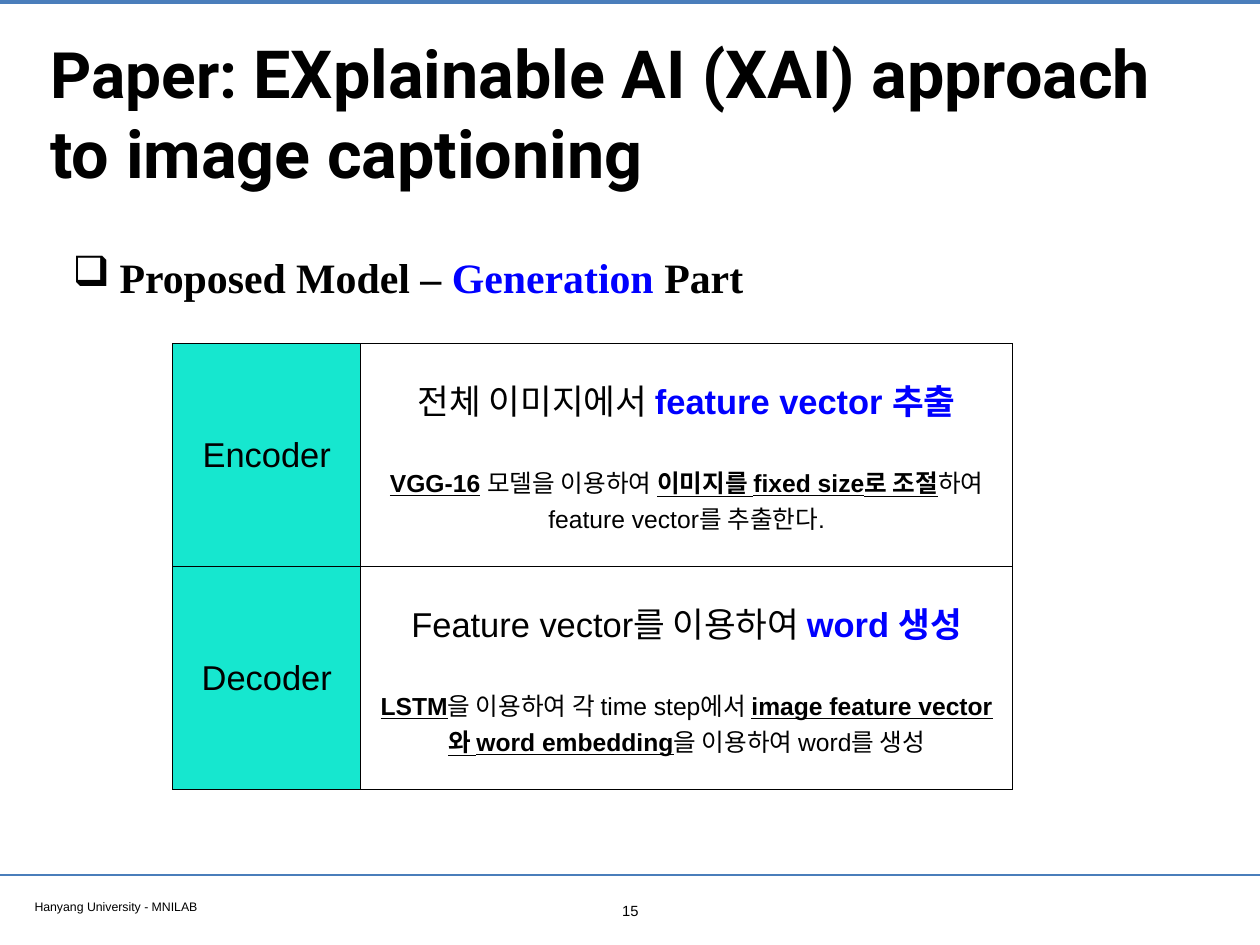
from lxml import etree
from pptx import Presentation
from pptx.dml import color
from pptx.enum import shapes, text
from pptx.oxml import ns
from pptx.util import Inches, Pt

BLACK, BLUE, TEAL, WHITE, RULE = "000000", "0000FF", "16E7CF", "FFFFFF", "4A7EBB"
LABEL = {"size": Pt(28)}
KEYWORD = {"size": Pt(28), "bold": True, "color": BLUE}
DETAIL = {"size": Pt(20)}
STRESS = {"size": Pt(20), "bold": True, "underline": True}
ROWS = [
    ("Encoder",
     [("전체 이미지에서 ", LABEL), ("feature vector 추출", KEYWORD)],
     [("VGG-16", STRESS), (" 모델을 이용하여 ", DETAIL),
      ("이미지를 fixed size로 조절", STRESS),
      ("하여 feature vector를 추출한다.", DETAIL)]),
    ("Decoder",
     [("Feature vector를 이용하여 ", LABEL), ("word 생성", KEYWORD)],
     [("LSTM", STRESS), ("을 이용하여 각 time step에서 ", DETAIL),
      ("image feature vector와 word embedding", STRESS),
      ("을 이용하여 word를 생성", DETAIL)]),
]


def rgb(value):
    return color.RGBColor.from_string(value)


def add_runs(paragraph, runs):
    for wording, style in runs:
        run = paragraph.add_run()
        run.text = wording
        style = {"name": "Arial", "color": BLACK, **style}
        run.font.color.rgb = rgb(style.pop("color"))
        for key, value in style.items():
            setattr(run.font, key, value)


def add_text(slide, box, runs, anchor=text.MSO_ANCHOR.TOP, align=text.PP_ALIGN.LEFT):
    frame = slide.shapes.add_textbox(*map(Inches, box)).text_frame
    frame.word_wrap = True
    frame.vertical_anchor = anchor
    for side in ("left", "top", "right", "bottom"):
        setattr(frame, f"margin_{side}", Inches(0.06))
    paragraph = frame.paragraphs[0]
    paragraph.alignment = align
    add_runs(paragraph, runs)
    return paragraph


def add_bullet(paragraph, symbol, indent):
    properties = paragraph._p.get_or_add_pPr()
    properties.set("marL", str(Inches(indent)))
    properties.set("indent", str(-Inches(indent)))
    etree.SubElement(properties, ns.qn("a:buChar"), char=symbol)


def add_rule(slide, y, width):
    rule = slide.shapes.add_connector(
        shapes.MSO_CONNECTOR.STRAIGHT, 0, Inches(y), Inches(14.22), Inches(y))
    rule.line.color.rgb = rgb(RULE)
    rule.line.width = Pt(width)
    etree.SubElement(rule._element.spPr, ns.qn("a:effectLst"))


def style_cell(cell, fill):
    properties = cell._tc.get_or_add_tcPr()
    for side in ("lnL", "lnR", "lnT", "lnB"):
        border = etree.SubElement(properties, ns.qn(f"a:{side}"), w=str(Pt(1)))
        solid = etree.SubElement(border, ns.qn("a:solidFill"))
        etree.SubElement(solid, ns.qn("a:srgbClr"), val=BLACK)
    cell.fill.solid()
    cell.fill.fore_color.rgb = rgb(fill)
    cell.vertical_anchor = text.MSO_ANCHOR.MIDDLE


def fill_cell(cell, fill, lines):
    style_cell(cell, fill)
    frame = cell.text_frame
    for index, runs in enumerate(lines):
        paragraph = frame.add_paragraph() if index else frame.paragraphs[0]
        paragraph.alignment = text.PP_ALIGN.CENTER
        if index:
            paragraph.space_before = Pt(32)
        add_runs(paragraph, runs)


def add_model_table(slide):
    table = slide.shapes.add_table(
        len(ROWS), 2, *map(Inches, (1.95, 3.88, 9.48, 5.04))).table
    table.first_row = table.horz_banding = False
    for column, width in zip(table.columns, (2.12, 7.36)):
        column.width = Inches(width)
    for row, (part, summary, detail) in enumerate(ROWS):
        table.rows[row].height = Inches(2.52)
        fill_cell(table.cell(row, 0), TEAL, [[(part, LABEL)]])
        fill_cell(table.cell(row, 1), WHITE, [summary, detail])


def main():
    deck = Presentation()
    deck.slide_width, deck.slide_height = Inches(14.22), Inches(10.67)
    slide = deck.slides.add_slide(deck.slide_layouts[6])
    add_rule(slide, 0.02, 3.2)
    add_rule(slide, 9.88, 2)
    add_text(slide, (0.33, 10.09, 5.46, 0.26),
             [("Hanyang University - MNILAB", {"size": Pt(10)})])
    title = {"name": "Roboto", "bold": True}
    add_text(slide, (0.51, 0.28, 13.21, 1.97),
             [("Paper: ", {**title, "size": Pt(52)}),
              ("EXplainable AI (XAI) approach to image captioning",
               {**title, "size": Pt(54)})], text.MSO_ANCHOR.MIDDLE)
    heading = {"name": "Times New Roman", "bold": True, "size": Pt(34)}
    topic = add_text(slide, (0.76, 2.67, 12.74, 1.21),
                     [("Proposed Model – ", heading),
                      ("Generation", {**heading, "color": BLUE}),
                      (" Part", heading)])
    add_bullet(topic, "❑", 0.53)
    topic.line_spacing = 1.2
    add_text(slide, (6.92, 10.12, 0.39, 0.31), [("15", {"size": Pt(12)})],
             align=text.PP_ALIGN.CENTER)
    add_model_table(slide)
    deck.save("out.pptx")


if __name__ == "__main__":
    main()
